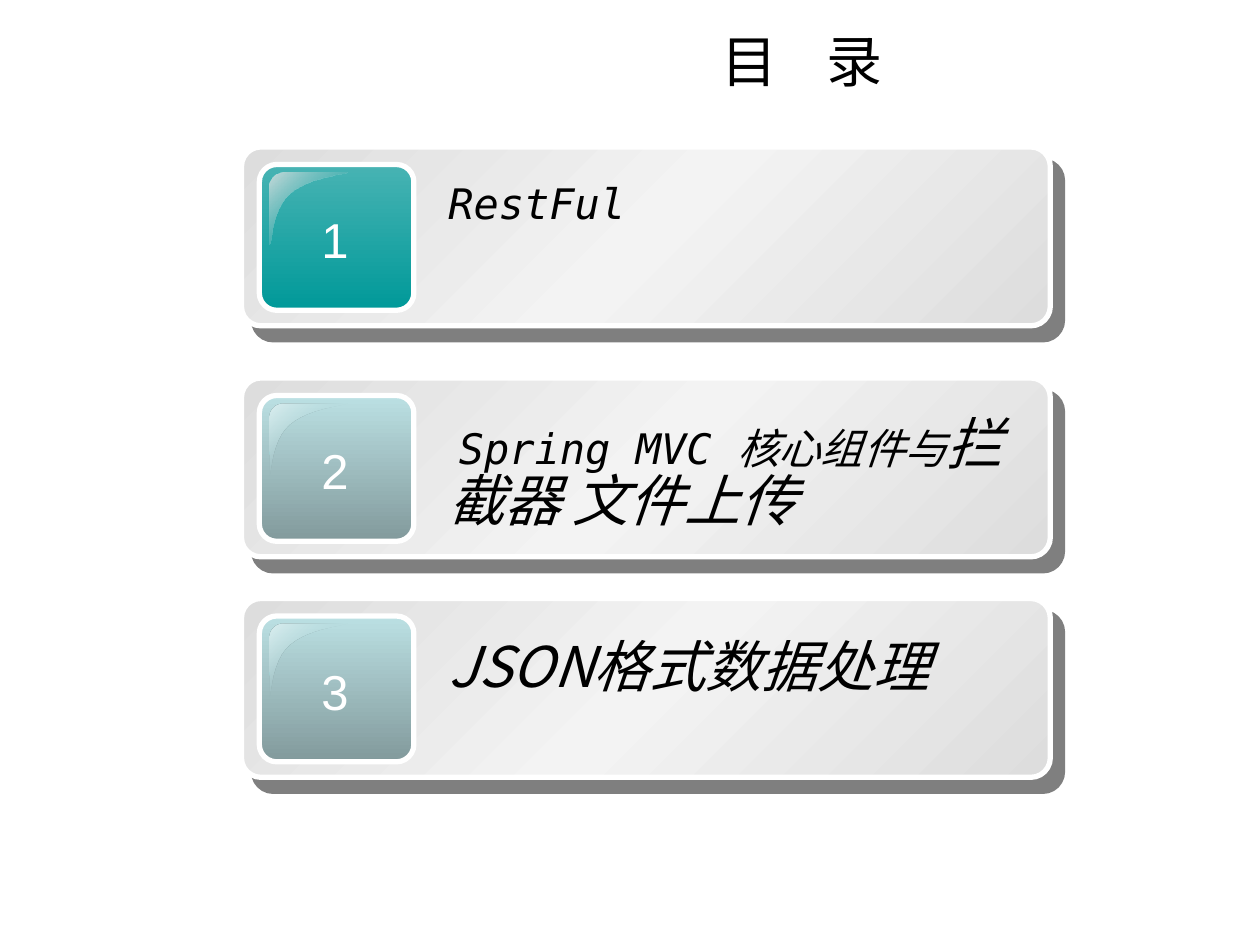
from lxml import etree
from pptx import Presentation
from pptx.dml.color import RGBColor
from pptx.enum import shapes, text
from pptx.oxml import ns
from pptx.util import Pt

CJK, MONO, SERIF, SANS = "Noto Sans CJK SC", "DejaVu Sans Mono", "Times New Roman", "Arial"
TITLE = [("目", 32), ("　", 28), ("录", 32)]
COLORS = {
    "text": "000000", "white": "FFFFFF", "edge": "DDDDDD", "middle": "F3F3F3",
    "teal": "009999", "teal_top": "47B3B3", "teal_gloss": "C9DBDB",
    "pale": "BBE0E3", "pale_low": "829A9C", "pale_gloss": "DDEFF0",
}
# gradient stops: position in percent, colour name, opacity in percent
CARD = [(0, "edge", 100), (50, "middle", 100), (100, "edge", 100)]
ACTIVE = {"tile": [(0, "teal_top", 100), (100, "teal", 100)],
          "gloss": [(0, "teal_gloss", 100), (100, "teal", 0)]}
PALE = {"tile": [(0, "pale", 100), (100, "pale_low", 100)],
        "gloss": [(0, "pale_gloss", 100), (50, "pale", 0), (100, "pale_gloss", 100)]}
# card top, look, text offset, text height, top margin, first indent, line spacing, runs
ENTRIES = [
    (84, ACTIVE, 13.9, 36, 3.6, 0, 1, [("RestFul", 24, MONO)]),
    (216, PALE, 15.8, 85, 7.6, 6, 0.85, [("Spring MVC ", 24, MONO), ("核心组件与", 24, SERIF),
                                         ("拦截器 文件上传", 32, CJK)]),
    (342, PALE, 15.8, 46, 9.2, 0, 0.85, [("JSON格式数据处理", 32, CJK)]),
]
# gloss outline, relative to its left top corner: Bezier segments
GLOSS = [
    [(8.6, 0), (3.6, 0), (0, 3.6), (0, 8.2)],
    [(0, 41.3), (1.4, 41.8), (0.7, 21.6), (11.5, 12.2)],
    [(11.5, 12.2), (23, 2.2), (44.3, 1.4), (44.3, 0)],
]


def rgb(name):
    return RGBColor.from_string(COLORS[name])


def add_color(parent, name, opacity):
    color = etree.SubElement(parent, ns.qn("a:srgbClr"), val=COLORS[name])
    if opacity < 100:
        etree.SubElement(color, ns.qn("a:alpha"), val=str(opacity * 1000))


def set_gradient(sp, stops, angle):
    sp.fill.gradient()
    grad = sp._element.spPr.find(ns.qn("a:gradFill"))
    for child in list(grad):
        grad.remove(child)
    gs_list = etree.SubElement(grad, ns.qn("a:gsLst"))
    for position, name, opacity in stops:
        gs = etree.SubElement(gs_list, ns.qn("a:gs"), pos=str(position * 1000))
        add_color(gs, name, opacity)
    etree.SubElement(grad, ns.qn("a:lin"), ang=str(angle * 60000), scaled="0")


def set_font(font, size, name, color="text", italic=False):
    """Set the Latin font, with the sans CJK font for Chinese letters."""
    font.size, font.name, font.italic = Pt(size), name, italic
    font.color.rgb = rgb(color)
    ea = etree.Element(ns.qn("a:ea"), typeface=CJK)
    font._element.find(ns.qn("a:latin")).addnext(ea)


def add_panel(group, left, top, width, height, radius, stops, angle):
    sp = group.shapes.add_shape(shapes.MSO_SHAPE.ROUNDED_RECTANGLE,
                                Pt(left), Pt(top), Pt(width), Pt(height))
    sp.adjustments[0] = radius
    sp.shadow.inherit = False
    set_gradient(sp, stops, angle)
    sp.line.color.rgb = rgb("white")
    sp.line.width = Pt(3)
    return sp


def add_shadow(sp):
    effects = sp._element.spPr.find(ns.qn("a:effectLst"))
    shadow = etree.SubElement(effects, ns.qn("a:outerShdw"), dist=str(Pt(10.6)),
                              dir=str(49 * 60000), algn="ctr", rotWithShape="0")
    add_color(shadow, "text", 50)


def bezier(points, steps=12):
    """Return points along a cubic Bezier curve."""
    curve = []
    for i in range(steps + 1):
        t = i / steps
        weights = ((1 - t) ** 3, 3 * t * (1 - t) ** 2, 3 * t * t * (1 - t), t ** 3)
        curve.append(tuple(sum(w * p[axis] for w, p in zip(weights, points))
                           for axis in (0, 1)))
    return curve


def add_gloss(group, left, top, stops):
    outline = [(Pt(left + x), Pt(top + y)) for part in GLOSS for x, y in bezier(part)]
    builder = group.shapes.build_freeform(*outline[0])
    builder.add_line_segments(outline[1:], close=True)
    sp = builder.convert_to_shape()
    sp.shadow.inherit = False
    sp.line.fill.background()
    set_gradient(sp, stops, 45)


def add_text(group, left, top, width, height, wrap):
    tf = group.shapes.add_textbox(Pt(left), Pt(top), Pt(width), Pt(height)).text_frame
    tf.word_wrap = wrap
    return tf


def add_entry(s, number, top, look, offset, height, margin, indent, spacing, runs):
    group = s.shapes.add_group_shape()
    add_shadow(add_panel(group, 138, top, 462.2, 102.2, 0.109, CARD, 45))
    add_panel(group, 148.2, top + 10, 88.3, 83.3, 0.119, look["tile"], 90)
    add_gloss(group, 154.1, top + 14.6, look["gloss"])

    p = add_text(group, 176.4, top + 32.2, 30.2, 41, False).paragraphs[0]
    p.text = str(number)
    p.alignment = text.PP_ALIGN.CENTER
    set_font(p.font, 28, SANS, "white")

    tf = add_text(group, 249.1, top + offset, 339.8, height, True)
    tf.margin_top, tf.margin_bottom = Pt(margin), Pt(0)
    p = tf.paragraphs[0]
    p.line_spacing = spacing
    if indent:
        p._p.get_or_add_pPr().set("indent", str(Pt(indent)))
    for content, size, font in runs:
        r = p.add_run()
        r.text = content
        set_font(r.font, size, font, italic=True)


def add_title(s):
    title = s.shapes.title
    title.left, title.top, title.width, title.height = Pt(54), Pt(0), Pt(612.7), Pt(54)
    tf = title.text_frame
    tf.margin_left, tf.margin_top = Pt(203), Pt(7)
    tf.vertical_anchor = text.MSO_ANCHOR.MIDDLE
    p = tf.paragraphs[0]
    p.alignment = text.PP_ALIGN.CENTER
    p.line_spacing = 1.3
    for content, size in TITLE:
        r = p.add_run()
        r.text = content
        set_font(r.font, size, CJK)


def main():
    prs = Presentation()
    prs.slide_width, prs.slide_height = Pt(720), Pt(540)
    s = prs.slides.add_slide(prs.slide_layouts[5])
    add_title(s)
    for number, entry in enumerate(ENTRIES, 1):
        add_entry(s, number, *entry)
    prs.save("out.pptx")


if __name__ == "__main__":
    main()
